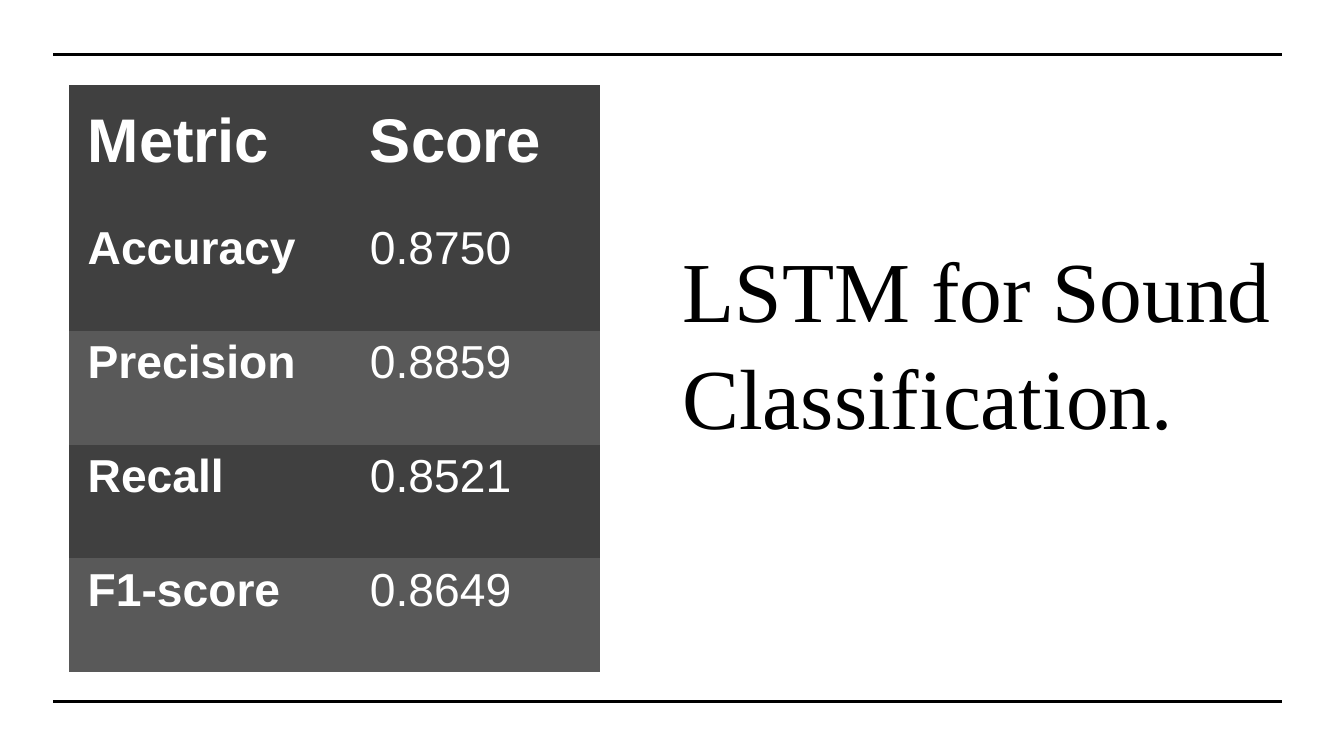
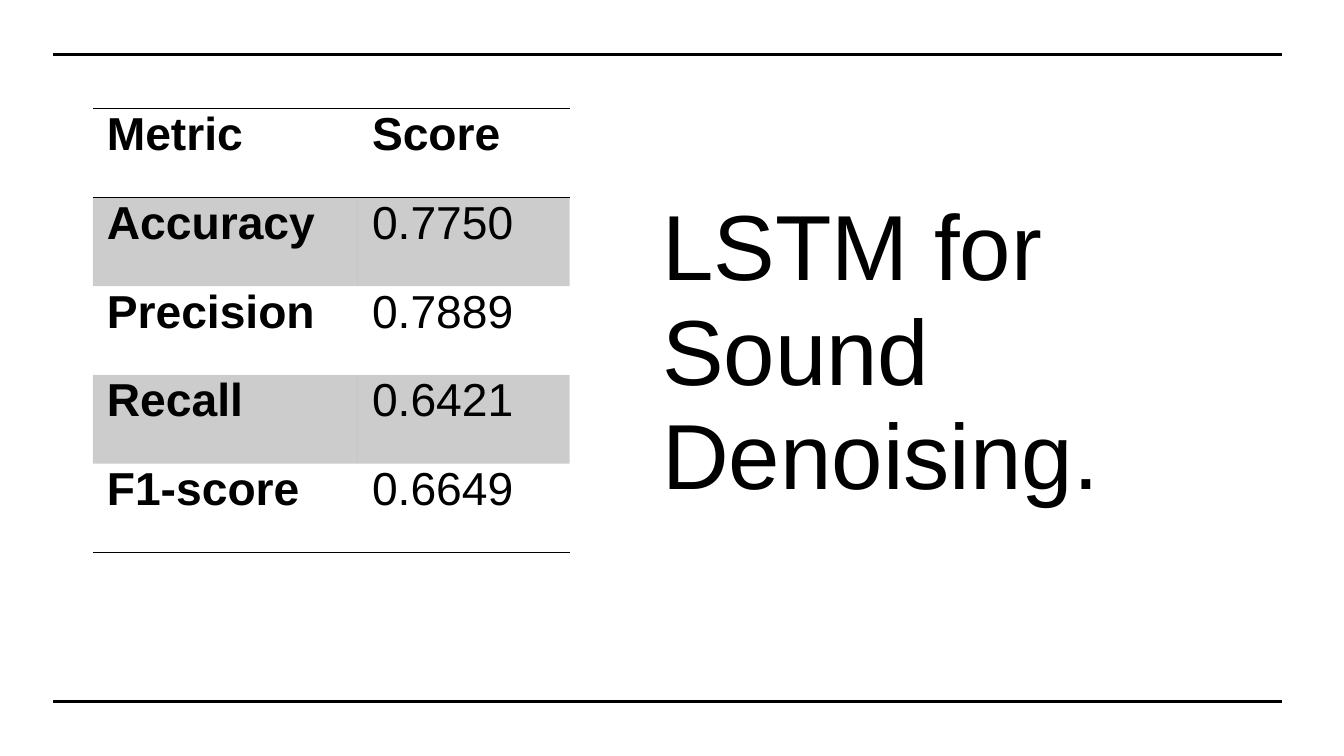
"""Two slides of LSTM scores, each a metric table beside a title."""
from dataclasses import dataclass
from typing import Optional

from lxml import etree
from pptx import Presentation
from pptx import util as u
from pptx.dml.color import RGBColor
from pptx.enum import shapes, text
from pptx.oxml import ns

PX = 9144
NO_GRID = "{2D5ABB26-0587-4C30-8999-92F81FD0307C}"
TOP, MID, LOW = text.MSO_ANCHOR.TOP, text.MSO_ANCHOR.MIDDLE, text.MSO_ANCHOR.BOTTOM
Box = tuple[int, int, int, int]


@dataclass(frozen=True)
class Theme:
    """Colours, fonts and type sizes of the deck."""
    ink: str = "000000"
    paper: str = "FFFFFF"
    dark: str = "404040"
    grey: str = "595959"
    sans: str = "Arial"
    serif: str = "Times New Roman"
    cell: int = 33
    head: int = 44
    rule: float = 2.25
    thin: int = 1


T = Theme()


@dataclass(frozen=True)
class Title:
    """A slide title with its place and type."""
    words: str
    box: Box
    font: str
    size: int
    anchor: text.MSO_ANCHOR
    gap: float


@dataclass(frozen=True)
class Row:
    """The look of one table row."""
    fill: Optional[str] = None
    alpha: int = 100
    size: int = T.cell
    anchor: text.MSO_ANCHOR = TOP
    edges: str = ""


@dataclass(frozen=True)
class Grid:
    """A metric table with its measures and row looks."""
    left: int
    top: int
    cols: tuple[int, ...]
    tall: tuple[int, ...]
    inset: Box
    ink: str
    edge: str
    rows: tuple[Row, ...]
    scores: tuple[str, ...]


def px(n: int) -> u.Emu:
    """Turn px into EMU."""
    return u.Emu(n * PX)


def write(frame, words: str, *, size: int, font: str = T.sans, ink: str = T.ink,
          bold: bool = False, gap: Optional[float] = None) -> None:
    """Write one formatted paragraph into a text frame."""
    para = frame.paragraphs[0]
    para.line_spacing = gap
    run = para.add_run()
    run.text = words
    run.font.name, run.font.size, run.font.bold = font, u.Pt(size), bold
    run.font.color.rgb = RGBColor.from_string(ink)


def rule(slide, y: int) -> None:
    """Draw a full-width rule."""
    line = slide.shapes.add_connector(
        shapes.MSO_CONNECTOR.STRAIGHT, px(53), px(y), px(1272), px(y))
    line.line.width = u.Pt(T.rule)
    line.line.color.rgb = RGBColor.from_string(T.ink)
    etree.SubElement(line._element.spPr, ns.qn("a:effectLst"))


def head(slide, title: Title) -> None:
    """Place the slide title."""
    frame = slide.shapes.add_textbox(*map(px, title.box)).text_frame
    frame.word_wrap = True
    frame.vertical_anchor = title.anchor
    write(frame, title.words, size=title.size, font=title.font, gap=title.gap)


def style(cell, row: Row, grid: Grid) -> None:
    """Set the edges, fill, insets and anchor of a cell."""
    props = cell._tc.get_or_add_tcPr()
    for side in row.edges:
        edge = etree.SubElement(props, ns.qn(f"a:ln{side}"), w=str(u.Pt(T.thin)))
        solid = etree.SubElement(edge, ns.qn("a:solidFill"))
        etree.SubElement(solid, ns.qn("a:srgbClr"), val=grid.edge)
    if row.fill:
        cell.fill.solid()
        cell.fill.fore_color.rgb = RGBColor.from_string(row.fill)
        if row.alpha < 100:
            tint = props.find(ns.qn("a:solidFill"))[0]
            etree.SubElement(tint, ns.qn("a:alpha"), val=str(row.alpha * 1000))
    else:
        cell.fill.background()
    cell.margin_left, cell.margin_top, cell.margin_right, cell.margin_bottom = map(
        px, grid.inset)
    cell.vertical_anchor = row.anchor


def chart(slide, grid: Grid) -> None:
    """Draw the metric table."""
    names = ("Metric", "Accuracy", "Precision", "Recall", "F1-score")
    table = slide.shapes.add_table(
        len(names), len(grid.cols), px(grid.left), px(grid.top),
        px(sum(grid.cols)), px(sum(grid.tall))).table
    table._tbl.tblPr.find(ns.qn("a:tableStyleId")).text = NO_GRID
    table.horz_banding = False
    for col, wide in zip(table.columns, grid.cols):
        col.width = px(wide)
    for r, (row, tall) in enumerate(zip(grid.rows, grid.tall)):
        table.rows[r].height = px(tall)
        for c, words in enumerate((names[r], grid.scores[r])):
            cell = table.cell(r, c)
            look = row if c == 0 or "L" not in row.edges else Row(row.fill)
            style(cell, look, grid)
            write(cell.text_frame, words, size=row.size, ink=grid.ink,
                  bold=r == 0 or c == 0)


DARK, GREY = Row(T.dark, edges="L"), Row(T.grey, edges="L")
SHADE = Row(T.ink, alpha=20)
PAGES = (
    (Title("LSTM for Sound Classification.", (667, 214, 604, 245), T.serif, 61, MID, 1.05),
     Grid(68, 84, (280, 247), (131,) + (113,) * 4, (19, 6, 21, 41), T.paper, T.paper,
          (Row(T.dark, size=T.head, anchor=LOW), DARK, GREY, DARK, GREY),
          ("Score", "0.8750", "0.8859", "0.8521", "0.8649"))),
    (Title("LSTM for Sound Denoising.", (647, 144, 641, 367), T.sans, 66, LOW, 0.94),
     Grid(92, 108, (263, 210), (88,) * 5, (14, 0, 14, 0), T.ink, T.ink,
          (Row(edges="TB"), SHADE, Row(), SHADE, Row(edges="B")),
          ("Score", "0.7750", "0.7889", "0.6421", "0.6649"))),
)


def main() -> None:
    """Build and save the deck."""
    deck = Presentation()
    deck.slide_width, deck.slide_height = px(1333), px(750)
    for title, grid in PAGES:
        slide = deck.slides.add_slide(deck.slide_layouts[6])
        head(slide, title)
        for y in (54, 696):
            rule(slide, y)
        chart(slide, grid)
    deck.save("out.pptx")


if __name__ == "__main__":
    main()
